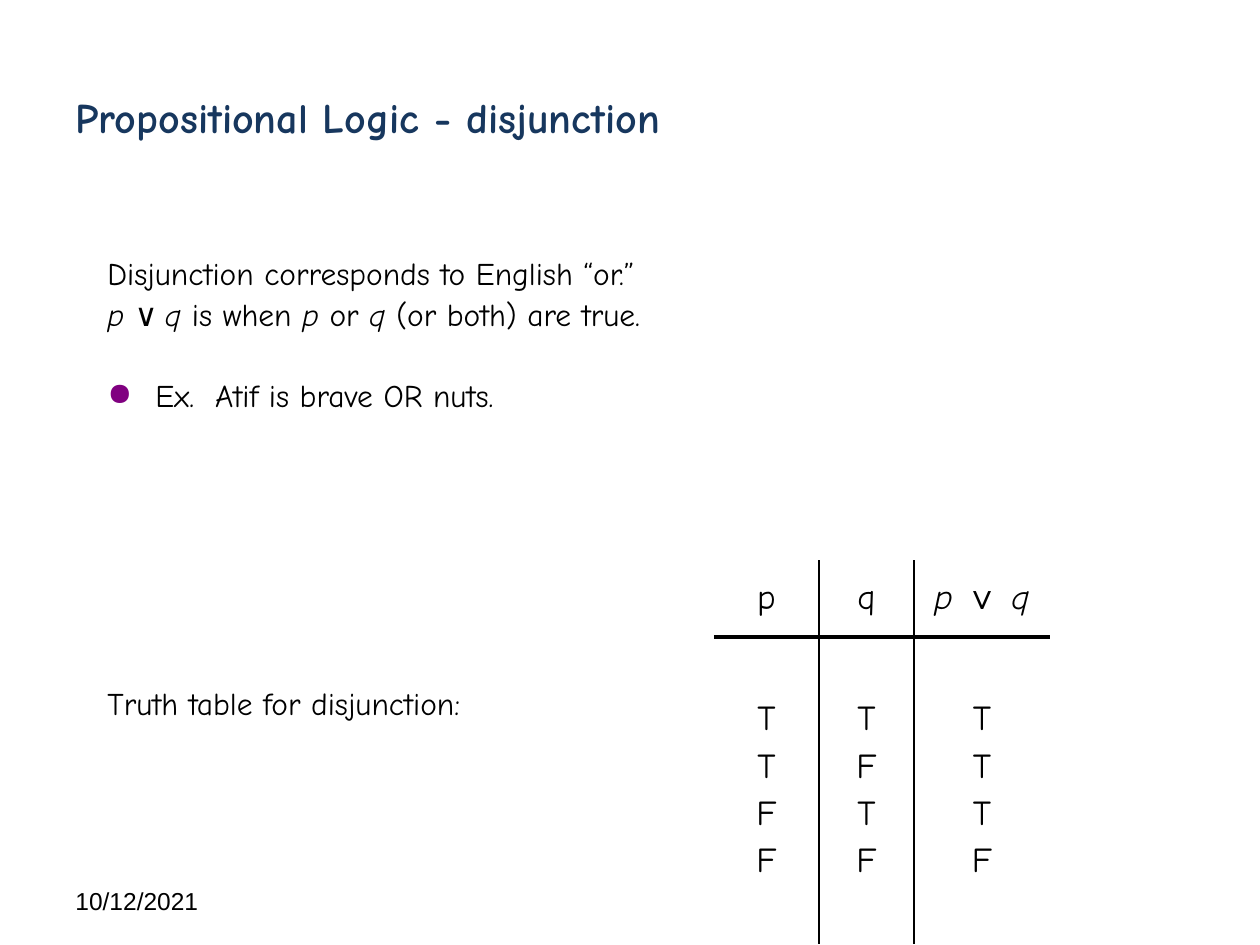
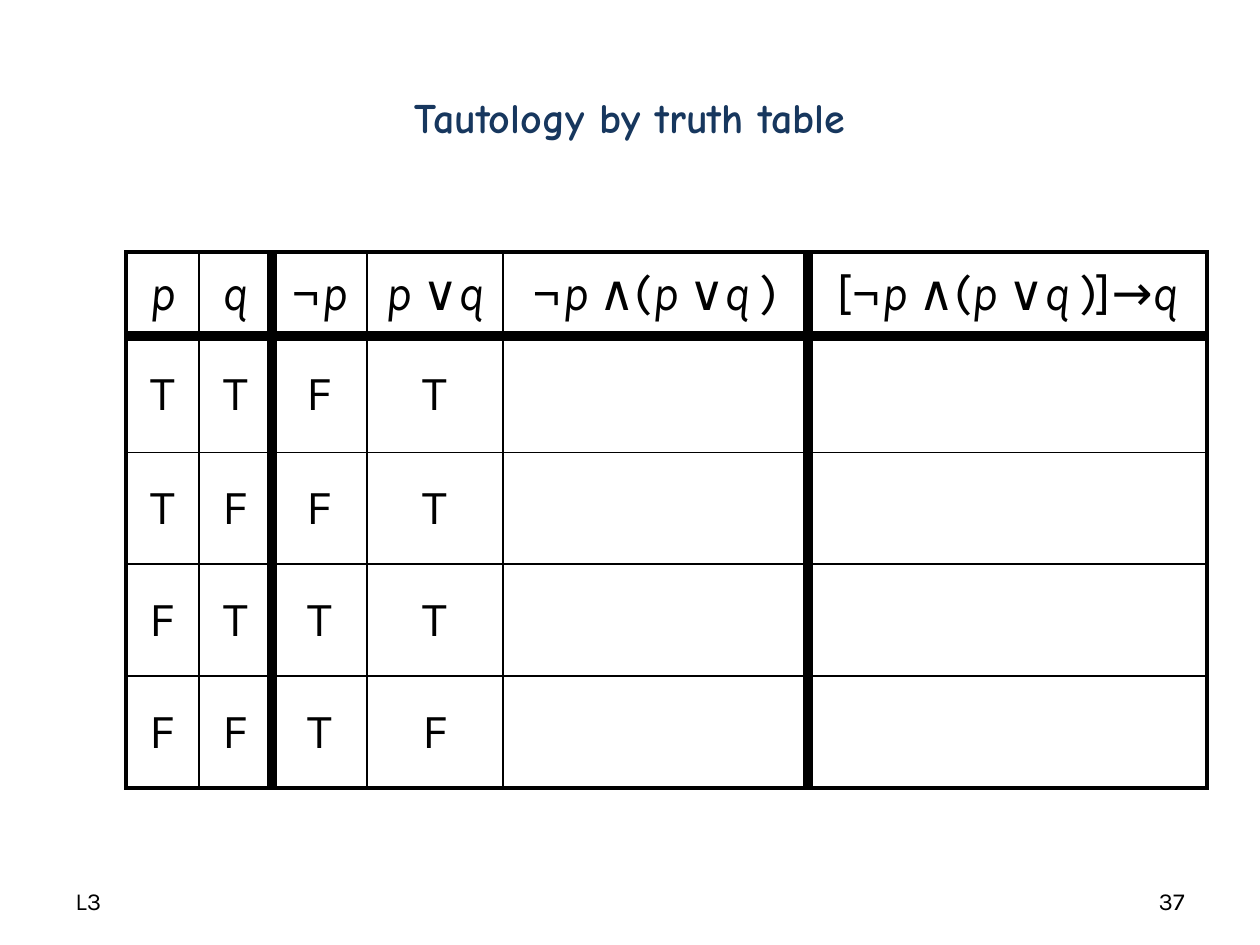
from lxml.etree import SubElement
from pptx import Presentation
from pptx.dml.color import RGBColor
from pptx.enum.text import MSO_ANCHOR as Anchor, PP_ALIGN as Align
from pptx.oxml.ns import qn
from pptx.util import Emu, Pt

PX_PER_INCH = 126
COLORS = {"title": "17375E", "ink": "000000", "bullet": "800080"}
TITLE = {"name": "Comic Neue", "size": Pt(24), "bold": True, "color": "title"}
BODY = {"name": "Comic Neue", "size": Pt(18), "color": "ink"}
SMALL_TABLE = {**BODY, "size": Pt(20)}
LARGE_TABLE = {"name": "Karla", "size": Pt(28), "color": "ink"}
FOOTER = {"name": "Karla", "size": Pt(14), "color": "ink"}
STYLES = {
    "plain": {},
    "variable": {"italic": True},
    "negation": {"name": "Times New Roman", "bold": True, "italic": True},
    "calibri": {"name": "Calibri"},
    "arial": {"name": "Arial"},
}
TITLE_BOX = (63, 38, 1134, 157)
LEFT_FOOTER = (63, 876, 294, 50)
RIGHT_FOOTER = (903, 876, 294, 50)
P_VALUES, Q_VALUES, NOT_P_VALUES, OR_VALUES = "TTFF", "TFTF", "FFTT", "TTTF"


def px(length):
    """Turn a length in px into EMU."""
    return Emu(round(length * 914400 / PX_PER_INCH))


def plain(text):
    """Give a paragraph made of one plain run."""
    return [(text, "plain")]


def set_format(target, values):
    """Set each attribute of the target from a dict of values."""
    for name, value in values.items():
        setattr(target, name, value)


def write_paragraph(paragraph, runs, look, **layout):
    """Write styled runs into a paragraph and lay it out."""
    set_format(paragraph, layout)
    for text, style in runs:
        run = paragraph.add_run()
        run.text = text
        values = {**look, **STYLES[style]}
        color = values.pop("color")
        set_format(run.font, values)
        run.font.color.rgb = RGBColor.from_string(COLORS[color])


def write_lines(frame, lines, look, gap=0, **layout):
    """Write paragraphs into a frame, with a gap before all but the first."""
    for index, runs in enumerate(lines):
        paragraph = frame.add_paragraph() if index else frame.paragraphs[0]
        space = Pt(gap if index else 0)
        write_paragraph(paragraph, runs, look, space_before=space, **layout)


def add_text(slide, box, lines, look, anchor=Anchor.MIDDLE, **layout):
    """Add a wrapping text box and return its frame."""
    frame = slide.shapes.add_textbox(*map(px, box)).text_frame
    set_format(frame, {"word_wrap": True, "vertical_anchor": anchor})
    write_lines(frame, lines, look, **layout)
    return frame


def add_body(slide, box, lines):
    """Add body text that starts at the top of its box."""
    return add_text(slide, box, lines, BODY, Anchor.TOP, gap=4, line_spacing=0.9)


def add_bullet(frame, text, gap):
    """Add a bulleted paragraph with a hanging indent."""
    paragraph = frame.add_paragraph()
    properties = paragraph._p.get_or_add_pPr()
    indent = px(48)
    properties.set("marL", str(indent))
    properties.set("indent", str(-indent))
    color = SubElement(properties, qn("a:buClr"))
    SubElement(color, qn("a:srgbClr"), val=COLORS["bullet"])
    SubElement(properties, qn("a:buChar"), char="●")
    write_paragraph(paragraph, plain(text), BODY,
                    space_before=Pt(gap), line_spacing=0.9)


def set_border(cell, side, width):
    """Draw one side of a cell, or leave it empty at width zero."""
    properties = cell._tc.get_or_add_tcPr()
    line = SubElement(properties, qn(f"a:ln{side}"), w=str(Pt(width)))
    if width:
        fill = SubElement(line, qn("a:solidFill"))
        SubElement(fill, qn("a:srgbClr"), val=COLORS["ink"])
    else:
        SubElement(line, qn("a:noFill"))


def add_truth_table(slide, corner, widths, heights, rules, cells, look):
    """Add a table ruled by the widths of its vertical and horizontal lines."""
    box = (*corner, sum(widths), sum(heights))
    shape = slide.shapes.add_table(len(heights), len(widths), *map(px, box))
    table = shape.table
    set_format(table, {"first_row": False, "horz_banding": False})
    for column, width in zip(table.columns, widths):
        column.width = px(width)
    for row, height in zip(table.rows, heights):
        row.height = px(height)
    vertical, horizontal = rules
    for y, row in enumerate(cells):
        for x, lines in enumerate(row):
            cell = table.cell(y, x)
            sides = {"L": vertical[x], "R": vertical[x + 1],
                     "T": horizontal[y], "B": horizontal[y + 1]}
            for side, width in sides.items():
                set_border(cell, side, width)
            cell.fill.background()
            cell.vertical_anchor = Anchor.MIDDLE
            write_lines(cell.text_frame, lines, look, gap=4, alignment=Align.CENTER)


def build_disjunction(slide):
    """Build the slide that explains disjunction."""
    add_text(slide, LEFT_FOOTER, [plain("10/12/2021")], {**FOOTER, "name": "Arial"})
    add_text(slide, TITLE_BOX, [plain("Propositional Logic - disjunction")], TITLE)
    meaning = [("p ", "variable"), ("∨ ", "calibri"), ("q", "variable"),
               (" is when ", "plain"), ("p", "variable"), (" or ", "plain"),
               ("q", "variable"), (" (or both) are true.", "plain")]
    frame = add_body(slide, (95, 252, 1014, 315),
                     [plain("Disjunction corresponds to English “or.”"), meaning])
    add_bullet(frame, "Ex.  Atif is brave OR nuts.", 27)
    add_body(slide, (95, 682, 1014, 147), [plain("Truth table for disjunction:")])
    formula = [("p ", "variable"), ("∨", "arial"), (" q", "variable")]
    header = [[plain("p")], [plain("q")], [formula]]
    values = [list(map(plain, column)) for column in (P_VALUES, Q_VALUES, OR_VALUES)]
    add_truth_table(slide, (714, 560), [105, 95, 136], [77, 307],
                    ([0, 1, 1, 0], [0, 3, 0]), [header, values], SMALL_TABLE)


def build_tautology(slide):
    """Build the slide that tests a tautology in a truth table."""
    add_text(slide, LEFT_FOOTER, [plain("L3")], FOOTER)
    add_text(slide, RIGHT_FOOTER, [plain("37")], FOOTER, alignment=Align.RIGHT)
    add_text(slide, TITLE_BOX, [plain("Tautology by truth table")], TITLE,
             alignment=Align.CENTER)
    p, q, negation = ("p", "variable"), ("q", "variable"), ("¬", "negation")
    p_or = [("p ", "variable"), ("∨", "plain")]
    premise = [negation, ("p ", "variable"), ("∧(", "plain"), *p_or, ("q ", "variable")]
    formulas = [[p], [q], [negation, p], [*p_or, q], [*premise, (")", "plain")],
                [("[", "plain"), *premise, (")]→", "plain"), q]]
    header = [[formula] for formula in formulas]
    columns = P_VALUES, Q_VALUES, NOT_P_VALUES, OR_VALUES
    rows = [[[plain(value)] for value in row] + [[], []] for row in zip(*columns)]
    add_truth_table(slide, (126, 252), [73, 73, 95, 136, 305, 399],
                    [84, 116, 112, 112, 112],
                    ([2.25, 1, 6, 1, 1, 6, 2.25], [2.25, 6, 0.25, 1, 1, 2.25]),
                    [header, *rows], LARGE_TABLE)


def main():
    """Build and save the presentation."""
    presentation = Presentation()
    set_format(presentation, {"slide_width": px(1260), "slide_height": px(945)})
    for build in (build_disjunction, build_tautology):
        build(presentation.slides.add_slide(presentation.slide_layouts[6]))
    presentation.save("out.pptx")


if __name__ == "__main__":
    main()
